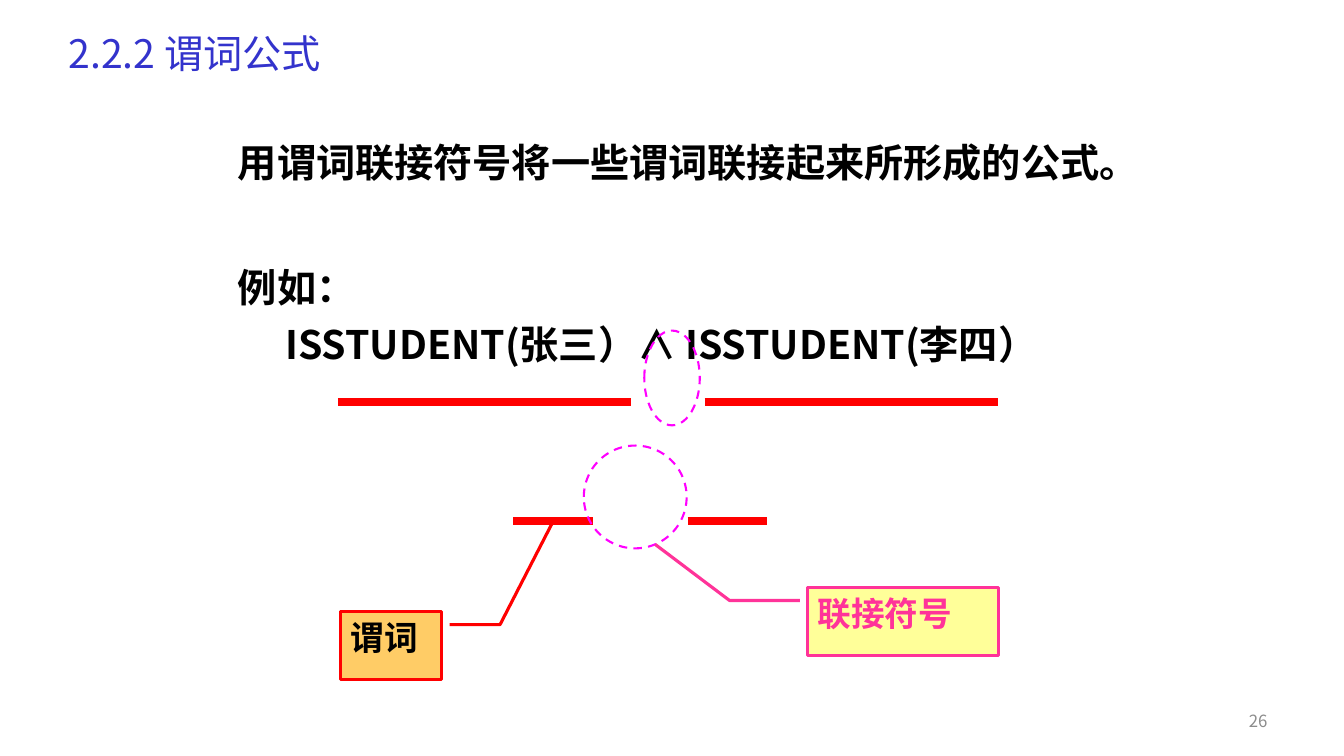
from lxml import etree
from pptx import Presentation
from pptx.dml.color import RGBColor
from pptx.enum.dml import MSO_LINE
from pptx.enum.shapes import MSO_CONNECTOR, MSO_SHAPE
from pptx.enum.text import MSO_ANCHOR, MSO_AUTO_SIZE, PP_ALIGN
from pptx.oxml.ns import qn
from pptx.util import Inches, Pt

DASH = MSO_LINE.DASH
STRAIGHT = MSO_CONNECTOR.STRAIGHT
OVAL, CALLOUT = MSO_SHAPE.OVAL, MSO_SHAPE.LINE_CALLOUT_2
TOP, MIDDLE = MSO_ANCHOR.TOP, MSO_ANCHOR.MIDDLE
LEFT, RIGHT = PP_ALIGN.LEFT, PP_ALIGN.RIGHT

FONT = "Noto Sans CJK SC"
BLACK = RGBColor(0x00, 0x00, 0x00)
BLUE = RGBColor(0x33, 0x33, 0xCC)
GREY = RGBColor(0x8C, 0x8C, 0x8C)
RED = RGBColor(0xFF, 0x00, 0x00)
MAGENTA = RGBColor(0xFF, 0x00, 0xFF)
PINK = RGBColor(0xFF, 0x33, 0x99)
ORANGE = RGBColor(0xFF, 0xCC, 0x66)
YELLOW = RGBColor(0xFF, 0xFF, 0x99)


def place(shape, left, top, width, height):
    shape.left, shape.top = Inches(left), Inches(top)
    shape.width, shape.height = Inches(width), Inches(height)


def write(paragraph, text, size, color, bold=False, align=LEFT):
    paragraph.alignment = align
    run = paragraph.add_run()
    run.text = text
    run.font.size = Pt(size)
    run.font.bold = bold
    run.font.color.rgb = color
    run.font.name = FONT
    etree.SubElement(run.font._element, qn("a:ea")).set("typeface", FONT)


prs = Presentation()
prs.slide_width, prs.slide_height = Inches(13.33), Inches(7.5)
slide = prs.slides.add_slide(prs.slide_layouts[1])
heading, definition = slide.placeholders

place(heading, 0.58, 0.2, 12, 0.71)
heading.text_frame.auto_size = MSO_AUTO_SIZE.NONE
heading.text_frame.vertical_anchor = MIDDLE
heading.text_frame.paragraphs[0].line_spacing = 0.9
write(heading.text_frame.paragraphs[0], "2.2.2 谓词公式", 28, BLUE)

place(definition, 2.26, 1.23, 8.83, 2.99)
definition.text_frame.auto_size = MSO_AUTO_SIZE.NONE
definition.text_frame.vertical_anchor = TOP
sentences = [
    ("用谓词联接符号将一些谓词联接起来所形成的公式。", 0, 0),
    ("例如：", 0, 49),
    ("ISSTUDENT(张三）∧ ISSTUDENT(李四）", 0.47, 0),
]
for number, (sentence, indent, gap) in enumerate(sentences):
    frame = definition.text_frame
    paragraph = frame.add_paragraph() if number else frame.paragraphs[0]
    paragraph.line_spacing = 1.2
    paragraph.space_before = Pt(gap)
    properties = paragraph._p.get_or_add_pPr()
    properties.set("marL", str(Inches(indent)))
    properties.set("indent", "0")
    etree.SubElement(properties, qn("a:buNone"))
    write(paragraph, sentence, 28, BLACK, bold=True)

page = slide.shapes.add_textbox(Inches(9.56), Inches(6.95), Inches(3.11), Inches(0.4))
page.text_frame.word_wrap = True
page.text_frame.vertical_anchor = MIDDLE
write(page.text_frame.paragraphs[0], "26", 12, GREY, align=RIGHT)

predicate_bars = [(3.35, 3.99, 2.91), (6.99, 3.99, 2.91), (5.09, 5.17, 0.79), (6.82, 5.17, 0.79)]
for left, top, length in predicate_bars:
    bar = slide.shapes.add_connector(
        STRAIGHT, Inches(left), Inches(top), Inches(left + length), Inches(top))
    bar.line.color.rgb = RED
    bar.line.width = Pt(6)
    etree.SubElement(bar._element.spPr, qn("a:effectLst"))

for bounds in [(6.39, 3.28, 0.55, 0.94), (5.79, 4.42, 1.02, 1.02)]:
    ring = slide.shapes.add_shape(OVAL, *map(Inches, bounds))
    ring.shadow.inherit = False
    ring.fill.background()
    ring.line.color.rgb = MAGENTA
    ring.line.width = Pt(1.5)
    ring.line.dash_style = DASH

labels = [
    ("谓词", (3.38, 6.07, 1, 0.67), ORANGE, RED, BLACK,
     (0.19, 1.08, 0.19, 1.58, -1.35, 2.11)),
    ("联接符号", (8.01, 5.83, 1.89, 0.67), YELLOW, PINK, PINK,
     (0.19, -0.04, 0.19, -0.41, -0.64, -0.8)),
]
for term, bounds, fill, border, ink, pointer in labels:
    label = slide.shapes.add_shape(CALLOUT, *map(Inches, bounds))
    label.shadow.inherit = False
    label.fill.solid()
    label.fill.fore_color.rgb = fill
    label.line.color.rgb = border
    label.line.width = Pt(2.25)
    for index, share in enumerate(pointer):
        label.adjustments[index] = share
    label.text_frame.vertical_anchor = TOP
    write(label.text_frame.paragraphs[0], term, 24, ink, bold=True)

prs.save("out.pptx")
